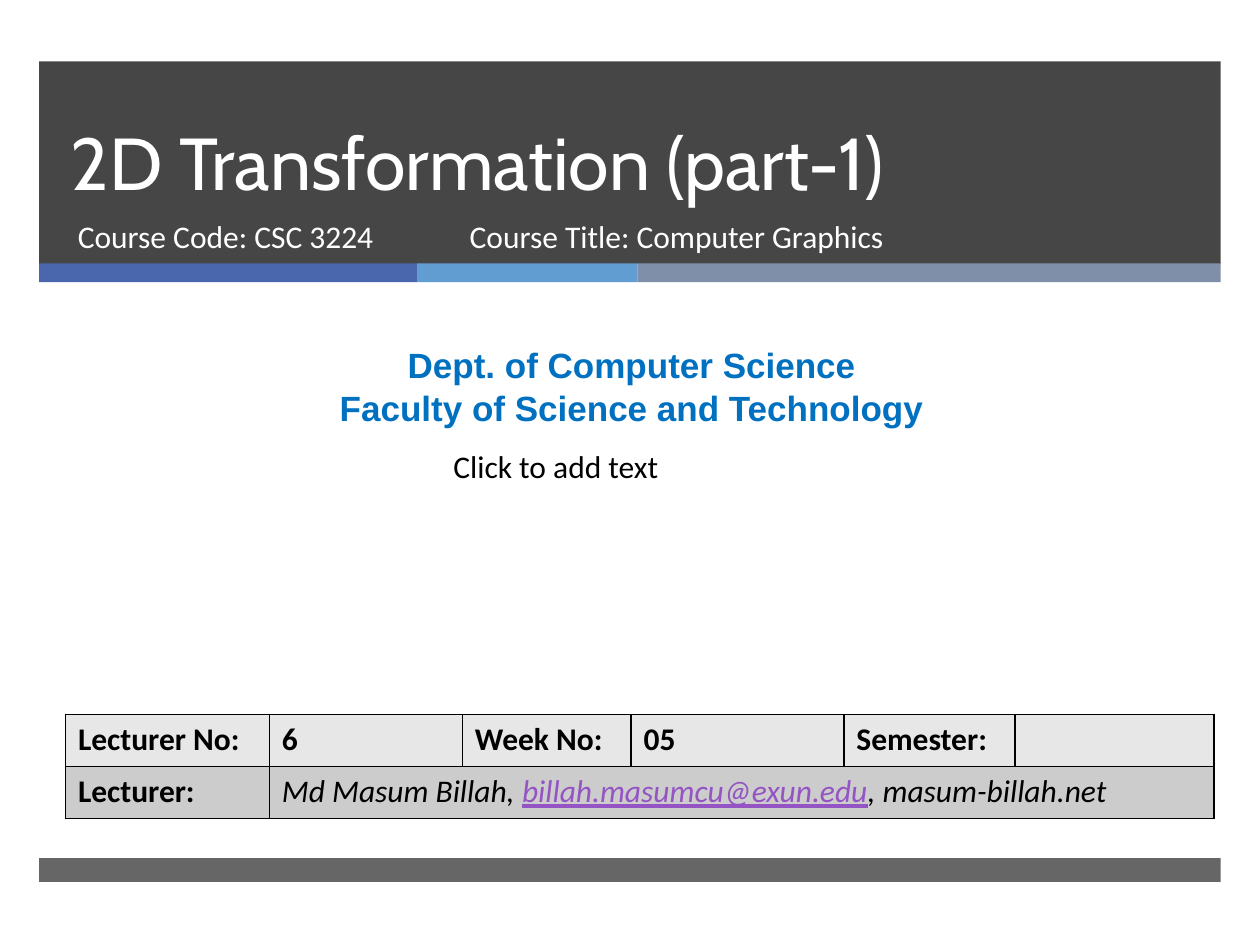
from itertools import accumulate

from lxml.etree import SubElement
from pptx import Presentation
from pptx.dml.color import RGBColor
from pptx.enum.shapes import MSO_SHAPE
from pptx.enum.text import MSO_ANCHOR, PP_ALIGN
from pptx.oxml.ns import qn
from pptx.util import Cm, Pt

WHITE = RGBColor(0xFF, 0xFF, 0xFF)
BLACK = RGBColor(0x00, 0x00, 0x00)
CHARCOAL = RGBColor(0x26, 0x26, 0x26)
STRIPES = [RGBColor(0x4A, 0x66, 0xAC), RGBColor(0x62, 0x9D, 0xD1), RGBColor(0x7F, 0x8F, 0xA9)]
BLUE = RGBColor(0x00, 0x70, 0xC0)
PURPLE = RGBColor(0x94, 0x54, 0xC3)
LIGHT_GREY = RGBColor(0xE7, 0xE7, 0xE7)
MID_GREY = RGBColor(0xCC, 0xCC, 0xCC)


def format_run(r, size, color, font="Calibri", bold=False, italic=False, underline=False):
    r.font.name = font
    r.font.size = Pt(size)
    r.font.color.rgb = color
    r.font.bold = bold
    r.font.italic = italic
    r.font.underline = underline


def add_bar(s, left, top, width, height, color, opacity=100):
    sp = s.shapes.add_shape(MSO_SHAPE.RECTANGLE, Cm(left), Cm(top), Cm(width), Cm(height))
    sp.shadow.inherit = False
    sp.fill.solid()
    sp.fill.fore_color.rgb = color
    sp.line.fill.background()
    if opacity < 100:
        clr = sp.element.spPr.find(qn("a:solidFill"))[0]
        SubElement(clr, qn("a:alpha"), val=str(opacity * 1000))


def add_text(s, left, top, width, height, text, size, color,
             font="Calibri", bold=False, align=PP_ALIGN.LEFT):
    tf = s.shapes.add_textbox(Cm(left), Cm(top), Cm(width), Cm(height)).text_frame
    tf.word_wrap = True
    tf.text = text
    for p in tf.paragraphs:
        p.alignment = align
        for r in p.runs:
            format_run(r, size, color, font, bold)


def add_header(s, left, top, width, height):
    add_bar(s, left, top, width, height, CHARCOAL, 85)
    widths = [7.62, 4.44, width - 12.06]
    for offset, stripe, color in zip(accumulate([0] + widths), widths, STRIPES):
        add_bar(s, left + offset, top + height - 0.02, stripe, 0.38, color)

    title = s.shapes.title
    title.element.getparent().append(title.element)
    title.left, title.top = Cm(left + 0.38), Cm(top)
    title.width, title.height = Cm(21.69), Cm(3.02)
    tf = title.text_frame
    tf.text = "2D Transformation (part-1)"
    tf.vertical_anchor = MSO_ANCHOR.BOTTOM
    p = tf.paragraphs[0]
    p.alignment = PP_ALIGN.LEFT
    p.line_spacing = Pt(46)
    format_run(p.runs[0], 42, WHITE, "Cabin")

    add_text(s, left + 0.53, top + 3.02, 7.75, 1.35, "Course Code: CSC 3224", 18, WHITE)
    add_text(s, left + 8.43, top + 3.02, 11.56, 1.35, "Course Title: Computer Graphics", 18, WHITE)


def add_department(s, left, top, width):
    add_text(s, left, top, width, 1.96,
             "Dept. of Computer Science\nFaculty of Science and Technology",
             20, BLUE, "Arial", True, PP_ALIGN.CENTER)
    add_text(s, left + 8.69, top + 2.08, 7.62, 1.02, "Click to add text", 18, BLACK)


def style_cell(cell, color):
    tcPr = cell._tc.get_or_add_tcPr()
    for side in ("a:lnL", "a:lnR", "a:lnT", "a:lnB"):
        ln = SubElement(tcPr, qn(side), w=str(Pt(1)))
        fill = SubElement(ln, qn("a:solidFill"))
        SubElement(fill, qn("a:srgbClr"), val=str(BLACK))
    cell.fill.solid()
    cell.fill.fore_color.rgb = color


def add_lecture_table(s, left, top, widths, row_height):
    frame = s.shapes.add_table(2, len(widths), Cm(left), Cm(top),
                               Cm(sum(widths)), Cm(2 * row_height))
    table = frame.table
    for column, width in zip(table.columns, widths):
        column.width = Cm(width)
    for row, color in zip(table.rows, (LIGHT_GREY, MID_GREY)):
        row.height = Cm(row_height)
        for cell in row.cells:
            style_cell(cell, color)

    labels = ["Lecturer No:", "6", "Week No:", "05", "Semester:", ""]
    for col, label in enumerate(labels):
        table.cell(0, col).text_frame.text = label
    table.cell(1, 0).text_frame.text = "Lecturer:"
    for cell in table.iter_cells():
        for r in cell.text_frame.paragraphs[0].runs:
            format_run(r, 18, BLACK, bold=True)

    lecturer = table.cell(1, 1)
    lecturer.merge(table.cell(1, len(widths) - 1))
    p = lecturer.text_frame.paragraphs[0]
    for text, color, underline in (("Md Masum Billah, ", BLACK, False),
                                   ("billah.masumcu@exun.edu", PURPLE, True),
                                   (", masum-billah.net", BLACK, False)):
        r = p.add_run()
        r.text = text
        format_run(r, 18, color, italic=True, underline=underline)


def main():
    prs = Presentation()
    prs.slide_width, prs.slide_height = Cm(25.4), Cm(19.05)
    s = prs.slides.add_slide(prs.slide_layouts[5])
    add_header(s, 0.79, 1.24, 23.82, 4.09)
    add_bar(s, 0.79, 17.3, 23.82, 0.48, CHARCOAL, 70)
    add_department(s, 0.2, 6.81, 25.07)
    add_lecture_table(s, 1.32, 14.4, [4.11, 3.89, 3.4, 4.29, 3.45, 4.01], 1.05)
    prs.save("out.pptx")


if __name__ == "__main__":
    main()
